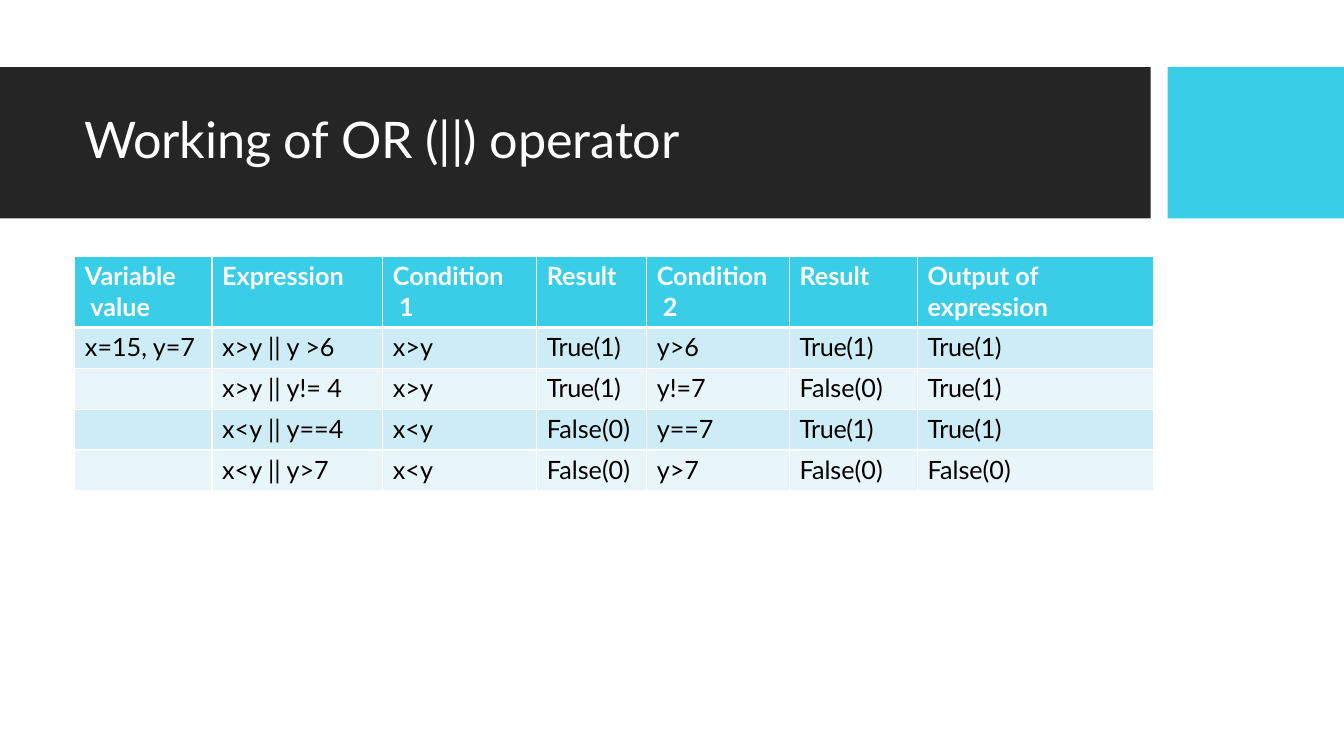
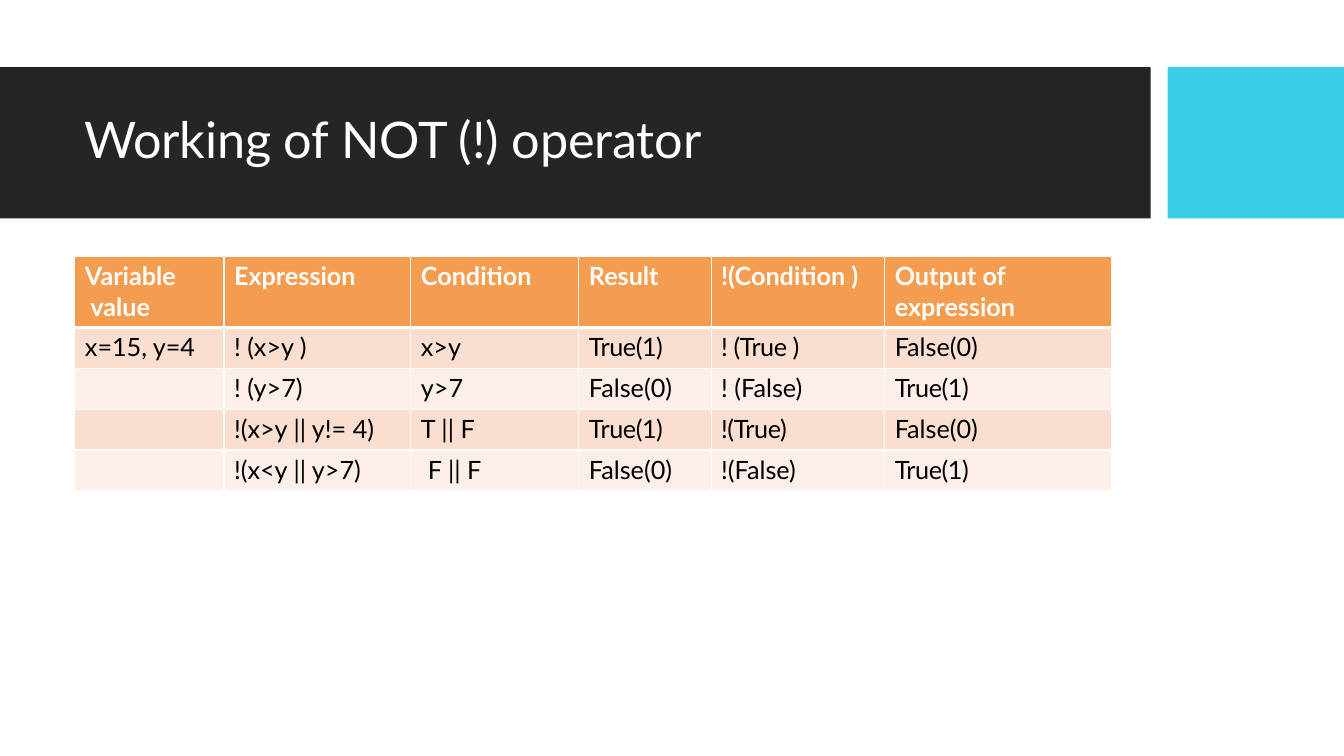
from lxml import etree
from pptx import Presentation
from pptx.dml.color import RGBColor
from pptx.enum import shapes, text
from pptx.oxml import ns
from pptx.util import Pt

WHITE = RGBColor(0xFF, 0xFF, 0xFF)
BLACK = RGBColor(0, 0, 0)
DARK = RGBColor(0x25, 0x25, 0x25)
CYAN = RGBColor(0x39, 0xCD, 0xE7)
ORANGE = RGBColor(0xF4, 0x9D, 0x50)
# Table palettes: header, odd rows, even rows
BLUES = (CYAN, RGBColor(0xCE, 0xEC, 0xF6), RGBColor(0xE8, 0xF6, 0xF9))
PEACHES = (ORANGE, RGBColor(0xFA, 0xDF, 0xD0), RGBColor(0xFC, 0xEF, 0xE9))

FONT = "Lato"
WIDE, HIGH = 960, 540
BAND_TOP, BAND_HIGH = 48, 108
HEAD_HIGH, ROW_HIGH = 50.4, 29.2

OR_COLS = (98, 122, 110, 78.5, 102, 91.5, 168.5)
OR_ROWS = (
    ("Variable\v value", "Expression", "Condition\v 1", "Result",
     "Condition\v 2", "Result", "Output of\vexpression"),
    ("x=15, y=7", "x>y || y >6", "x>y", "True(1)", "y>6", "True(1)", "True(1)"),
    ("", "x>y || y!= 4", "x>y", "True(1)", "y!=7", "False(0)", "True(1)"),
    ("", "x<y || y==4", "x<y", "False(0)", "y==7", "True(1)", "True(1)"),
    ("", "x<y || y>7", "x<y", "False(0)", "y>7", "False(0)", "False(0)"),
)
NOT_COLS = (106.5, 133.5, 120, 94.5, 124, 162)
NOT_ROWS = (
    ("Variable\v value", "Expression", "Condition", "Result",
     "!(Condition )", "Output of\vexpression"),
    ("x=15, y=4", "! (x>y )", "x>y", "True(1)", "! (True )", "False(0)"),
    ("", "! (y>7)", "y>7", "False(0)", "! (False)", "True(1)"),
    ("", "!(x>y || y!= 4)", "T || F", "True(1)", "!(True)", "False(0)"),
    ("", "!(x<y || y>7)", "F || F", "False(0)", "!(False)", "True(1)"),
)


def style(par, size, color, bold=False, space=0):
    """Format the runs of a paragraph; space is in hundredths of a point."""
    for run in par.runs:
        font = run.font
        font.name, font.size, font.bold = FONT, Pt(size), bold
        font.color.rgb = color
        run._r.get_or_add_rPr().set("spc", str(space))


def add_band(slide, layout, left, width, color):
    """Draw a band and move it to the layout, behind its placeholders."""
    band = slide.shapes.add_shape(shapes.MSO_SHAPE.RECTANGLE, Pt(left),
                                  Pt(BAND_TOP), Pt(width), Pt(BAND_HIGH))
    band.shadow.inherit = False
    band.fill.solid()
    band.fill.fore_color.rgb = color
    band.line.fill.background()
    layout.shapes.element.insert(2, band.element)


def add_title(slide, words):
    title = slide.shapes.title
    title.left, title.top = Pt(60), Pt(76.3)
    title.width, title.height = Pt(455), Pt(45.4)
    frame = title.text_frame
    frame.text = words
    frame.auto_size = text.MSO_AUTO_SIZE.NONE
    frame.vertical_anchor = text.MSO_ANCHOR.TOP
    frame.margin_left = frame.margin_right = frame.margin_bottom = 0
    frame.margin_top = Pt(1)
    par = frame.paragraphs[0]
    par.alignment = text.PP_ALIGN.LEFT
    par.space_before = Pt(1)
    style(par, 36, WHITE, space=-10)


def add_edges(cell, top, bottom):
    """Put white lines around a cell, ahead of its fill."""
    props = cell._tc.get_or_add_tcPr()
    sides = (("L", 1), ("R", 1), ("T", top), ("B", bottom))
    for spot, (side, width) in enumerate(sides):
        line = etree.Element(ns.qn("a:ln" + side), w=str(Pt(width)))
        fill = etree.SubElement(line, ns.qn("a:solidFill"))
        etree.SubElement(fill, ns.qn("a:srgbClr"), val=str(WHITE))
        props.insert(spot, line)


def fill_cell(cell, words, row, tints):
    head = row == 0
    cell.margin_left, cell.margin_top = Pt(7.2), Pt(3)
    cell.margin_right = cell.margin_bottom = 0
    cell.fill.solid()
    cell.fill.fore_color.rgb = tints[0 if head else 2 - row % 2]
    add_edges(cell, 3 if row == 1 else 1, 3 if head else 1)
    cell.text_frame.text = words
    par = cell.text_frame.paragraphs[0]
    par.space_before = Pt(3.1)
    style(par, 18, WHITE if head else BLACK, head,
          -30 if "True" in words else 0)


def add_grid(slide, cols, rows, tints):
    high = HEAD_HIGH + ROW_HIGH * (len(rows) - 1)
    grid = slide.shapes.add_table(len(rows), len(cols), Pt(53.5), Pt(183.5),
                                  Pt(sum(cols)), Pt(high)).table
    grid.horz_banding = False
    for col, width in zip(grid.columns, cols):
        col.width = Pt(width)
    for r, row in enumerate(rows):
        grid.rows[r].height = Pt(ROW_HIGH if r else HEAD_HIGH)
        for c, words in enumerate(row):
            fill_cell(grid.cell(r, c), words, r, tints)
    return grid


def main():
    deck = Presentation()
    deck.slide_width, deck.slide_height = Pt(WIDE), Pt(HIGH)
    layout = deck.slide_layouts.get_by_name("Title Only")

    # OR operator, and the bands that both slides share
    slide = deck.slides.add_slide(layout)
    add_band(slide, layout, 834, WIDE - 834, CYAN)
    add_band(slide, layout, 0, 822, DARK)
    add_title(slide, "Working of OR (||) operator")
    add_grid(slide, OR_COLS, OR_ROWS, BLUES)

    # NOT operator
    slide = deck.slides.add_slide(layout)
    add_title(slide, "Working of NOT (!) operator")
    grid = add_grid(slide, NOT_COLS, NOT_ROWS, PEACHES)
    grid.cell(4, 2).margin_left = Pt(12.2)

    deck.save("out.pptx")


if __name__ == "__main__":
    main()
